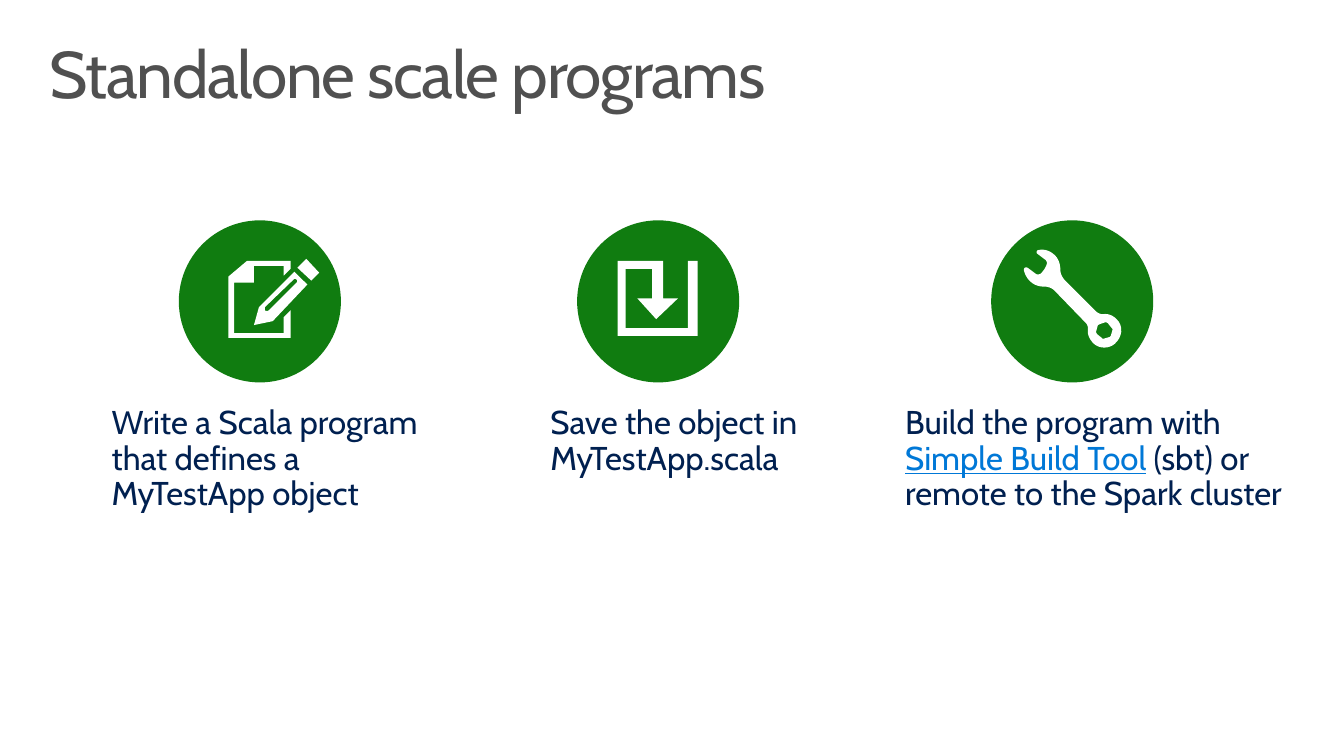
from pptx import Presentation
from pptx.dml.color import RGBColor
from pptx.enum.shapes import MSO_SHAPE
from pptx.enum.text import MSO_ANCHOR, PP_ALIGN
from pptx.util import Pt

OVAL, RECT = MSO_SHAPE.OVAL, MSO_SHAPE.RECTANGLE
TOP, LEFT = MSO_ANCHOR.TOP, PP_ALIGN.LEFT
FONT = "Cabin"
WHITE, GREEN, NAVY, BLUE, GREY = "FFFFFF", "107C10", "002050", "0078D7", "505050"

# Content
TITLE = "Standalone scale programs"
# Icon outlines in hundredths of an inch: (x, y) is a line, six numbers a curve
PENCIL_AND_PAGE = [
    [(311, 288), (276, 325), (257, 329), (262, 311), (298, 275)],
    [(268, 311), (268, 312, 268, 314, 268, 314), (269, 315, 271, 315, 272, 314),
     (300, 286), (301, 285, 301, 284, 300, 283), (299, 282, 298, 282, 297, 283)],
    [(315, 284), (323, 276), (310, 262), (301, 271)],
    [(294, 264), (250, 264), (231, 280), (231, 342), (294, 342), (294, 314),
     (287, 321), (287, 337), (237, 337), (237, 286), (257, 286), (257, 269),
     (287, 269), (287, 279), (294, 272)],
]
SAVE_ARROW = [
    [(696, 264), (696, 332), (633, 332), (633, 272), (660, 272), (660, 302),
     (645, 302), (664, 323), (686, 302), (671, 302), (671, 264), (625, 264),
     (625, 340), (706, 340), (706, 264)],
]
WRENCH = [
    [(1130, 323), (1126, 319, 1121, 317, 1116, 318), (1114, 318, 1111, 317, 1109, 315),
     (1078, 284), (1075, 281, 1073, 277, 1073, 273), (1073, 267, 1071, 261, 1066, 257),
     (1061, 253, 1056, 252, 1051, 253), (1049, 253, 1048, 256, 1050, 257),
     (1058, 263), (1059, 264, 1060, 266, 1059, 268), (1058, 271, 1056, 274, 1053, 277),
     (1051, 278, 1049, 278, 1048, 277), (1040, 271), (1038, 270, 1036, 271, 1036, 273),
     (1037, 278, 1040, 283, 1044, 286), (1048, 289, 1052, 290, 1056, 290),
     (1060, 290, 1064, 291, 1067, 294), (1098, 326), (1100, 328, 1101, 330, 1101, 333),
     (1100, 339, 1103, 344, 1107, 348), (1113, 353, 1122, 353, 1128, 348),
     (1136, 341, 1137, 330, 1130, 323)],
    [(1126, 333), (1124, 340), (1123, 341), (1116, 343), (1115, 342), (1110, 338),
     (1109, 336), (1111, 329), (1113, 328), (1119, 326), (1121, 327), (1125, 332)],
]
# Circle left, label left, label width, label height, icon, label runs
STEPS = [
    (130.32, 43.92, 291.6, 85.68, PENCIL_AND_PAGE,
     [("Write a Scala program that defines a MyTestApp object", NAVY)]),
    (420.48, 363.6, 231.12, 59.76, SAVE_ARROW,
     [("Save the object in MyTestApp.scala", NAVY)]),
    (722.16, 622.08, 318.96, 85.68, WRENCH,
     [("Build the program with ", NAVY), ("Simple Build Tool", BLUE),
      (" (sbt) or remote to the Spark cluster", NAVY)]),
]
CIRCLE_TOP, CIRCLE_SIZE, LABEL_TOP = 160.56, 118.08, 292.32
ICON_UNIT = 0.72
CURVE_STEPS = 8


def paint(shape, color):
    shape.shadow.inherit = False
    shape.fill.solid()
    shape.fill.fore_color.rgb = RGBColor.from_string(color)
    shape.line.fill.background()


def add_block(shapes, kind, left, top, width, height, color):
    block = shapes.add_shape(kind, Pt(left), Pt(top), Pt(width), Pt(height))
    paint(block, color)
    return block


def write(shape, runs, size, insets):
    frame = shape.text_frame
    frame.word_wrap = True
    frame.vertical_anchor = TOP
    (frame.margin_left, frame.margin_top,
     frame.margin_right, frame.margin_bottom) = map(Pt, insets)
    paragraph = frame.paragraphs[0]
    paragraph.alignment = LEFT
    paragraph.line_spacing = 0.9
    paragraph.font.name, paragraph.font.size = FONT, Pt(size)
    for words, color in runs:
        run = paragraph.add_run()
        run.text = words
        run.font.color.rgb = RGBColor.from_string(color)
        if color == BLUE:
            run.font.underline = True
    return paragraph


def trace(contour):
    """Turn lines and cubic curves into points on the slide."""
    points = []
    for segment in contour:
        if len(segment) == 2:
            points.append(segment)
            continue
        (x0, y0), (x1, y1, x2, y2, x3, y3) = points[-1], segment
        for step in range(1, CURVE_STEPS + 1):
            t = step / CURVE_STEPS
            a, b, c, d = (1 - t) ** 3, 3 * t * (1 - t) ** 2, 3 * t * t * (1 - t), t ** 3
            points.append((a * x0 + b * x1 + c * x2 + d * x3,
                           a * y0 + b * y1 + c * y2 + d * y3))
    return [(Pt(x * ICON_UNIT), Pt(y * ICON_UNIT)) for x, y in points]


def add_icon(shapes, contours):
    first, *others = [trace(contour) for contour in contours]
    builder = shapes.build_freeform(*first[0])
    builder.add_line_segments(first[1:], close=True)
    for points in others:
        builder.move_to(*points[0])
        builder.add_line_segments(points[1:], close=True)
    paint(builder.convert_to_shape(), WHITE)


prs = Presentation()
prs.slide_width, prs.slide_height = Pt(979.2), Pt(550.8)
slide = prs.slides.add_slide(prs.slide_layouts[6])

# Title
title = slide.shapes.add_textbox(Pt(0), Pt(23.04), Pt(957.6), Pt(74.88))
heading = write(title, [(TITLE, GREY)], 48, (36, 7.2, 11.52, 7.2))
heading.runs[0].font._element.set("spc", "-100")

# Steps: label, circle and icon
for circle_left, label_left, width, height, icon, runs in STEPS:
    label = add_block(slide.shapes, RECT, label_left, LABEL_TOP, width, height, WHITE)
    write(label, runs, 24, (37.44, 3.6, 6, 3.6))
    add_block(slide.shapes, OVAL, circle_left, CIRCLE_TOP, CIRCLE_SIZE, CIRCLE_SIZE, GREEN)
    add_icon(slide.shapes, icon)

prs.save("out.pptx")
